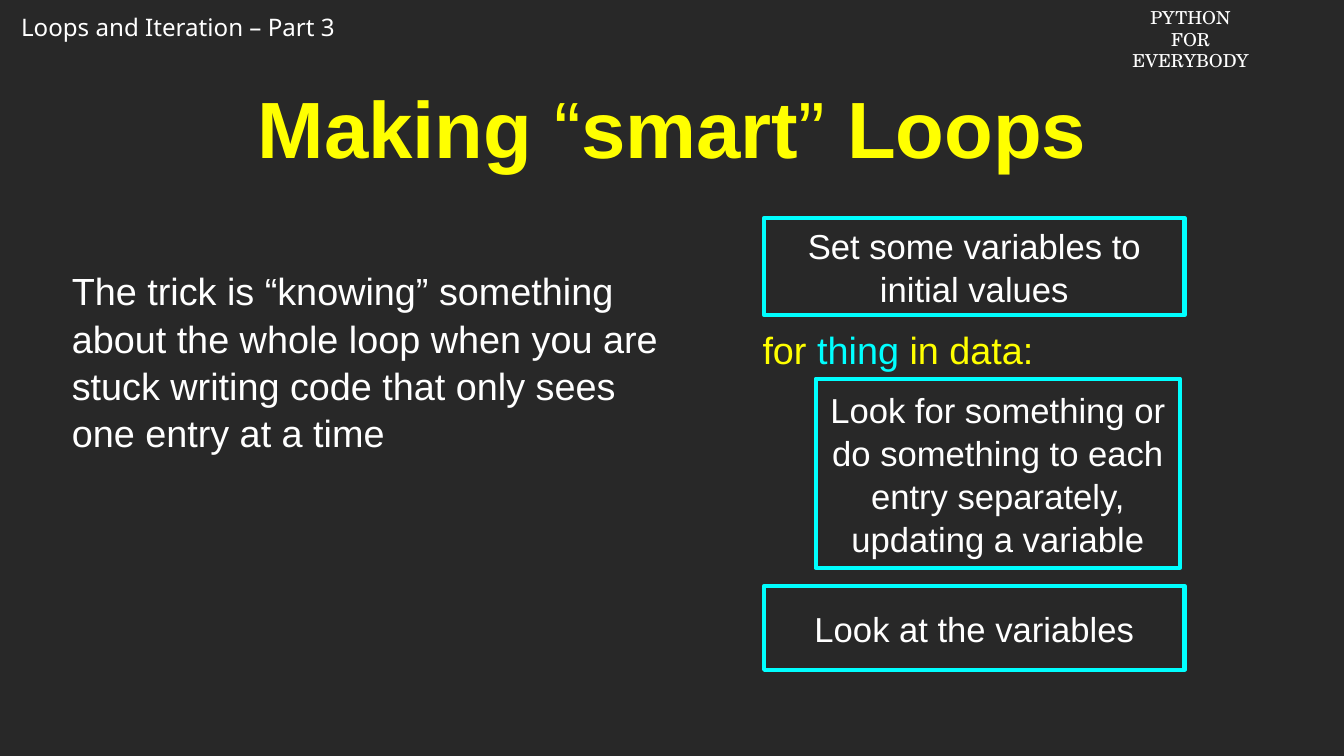
from pptx import Presentation, util as u
from pptx.dml.color import RGBColor
from pptx.enum import shapes, text

WIDTH, HEIGHT = 17.78, 10
WHITE, YELLOW, CYAN, DARK = "FFFFFF", "FFFF00", "00FFFF", "282828"
STEP_LEFT, STEP_WIDTH = 10.11, 5.56
CENTER = text.PP_ALIGN.CENTER
LEFT = text.PP_ALIGN.LEFT
MIDDLE = text.MSO_ANCHOR.MIDDLE


def color(value):
    return RGBColor.from_string(value)


def set_frame(shape, inset, anchor=MIDDLE, wrap=True):
    frame = shape.text_frame
    frame.word_wrap = wrap
    frame.vertical_anchor = anchor
    frame.margin_left = frame.margin_right = u.Inches(inset)
    frame.margin_top = frame.margin_bottom = u.Inches(inset)
    return frame


def write_para(para, spans, size, font="Arial", align=CENTER, spacing=None):
    para.alignment = align
    para.line_spacing = spacing
    para.font.size = u.Pt(size)
    para.font.name = font
    for words, hue, bold in spans:
        span = para.add_run()
        span.text = words
        span.font.color.rgb = color(hue)
        span.font.bold = bold


def add_text(page, area, spans, size, inset=0.04, align=CENTER, spacing=None):
    box = page.shapes.add_textbox(*map(u.Inches, area))
    frame = set_frame(box, inset)
    write_para(frame.paragraphs[0], spans, size, align=align, spacing=spacing)


def add_header(page, area, lines, size, font, align):
    box = page.shapes.add_textbox(*map(u.Inches, area))
    frame = set_frame(box, 0.05, text.MSO_ANCHOR.TOP, wrap=False)
    frame.margin_left = frame.margin_right = u.Inches(0.1)
    for number, line in enumerate(lines):
        para = frame.add_paragraph() if number else frame.paragraphs[0]
        write_para(para, [(line, WHITE, False)], size, font, align)


def add_step(page, area, words):
    box = page.shapes.add_shape(shapes.MSO_SHAPE.RECTANGLE, *map(u.Inches, area))
    box.shadow.inherit = False
    box.fill.background()
    box.line.color.rgb = color(CYAN)
    box.line.width = u.Pt(4)
    frame = set_frame(box, 0)
    write_para(frame.paragraphs[0], [(words, WHITE, False)], 33, spacing=1.04)


def main():
    deck = Presentation()
    deck.slide_width, deck.slide_height = u.Inches(WIDTH), u.Inches(HEIGHT)
    page = deck.slides.add_slide(deck.slide_layouts[6])
    page.background.fill.solid()
    page.background.fill.fore_color.rgb = color(DARK)

    add_header(page, (0.18, 0.12, 4.52, 0.49),
               ["Loops and Iteration – Part 3"], 23, "Noto Sans", LEFT)
    add_header(page, (14.88, 0.04, 1.74, 0.67),
               ["PYTHON", "FOR", "EVERYBODY"], 17, "TeX Gyre Schola", CENTER)

    title = [("Making ", True), ("“", False), ("smart", True),
             ("”", False), (" Loops", True)]
    add_text(page, (0.69, 0.99, WIDTH - 2 * 0.69, 1.36),
             [(words, YELLOW, bold) for words, bold in title], 76)
    add_text(page, (0.91, 1.65, 8.06, 6.24),
             [("The trick is “knowing” something about the whole loop when you "
               "are stuck writing code that only sees one entry at a time",
               WHITE, False)], 36, align=LEFT, spacing=1.04)

    add_step(page, (STEP_LEFT, 2.88, STEP_WIDTH, 1.29),
             "Set some variables to initial values")
    add_text(page, (10.02, 4.28, 3.72, 0.68),
             [("for ", YELLOW, False), ("thing", CYAN, False),
              (" in data:", YELLOW, False)], 36, inset=0)
    add_step(page, (10.79, 5.01, 4.82, 2.5),
             "Look for something or do something to each entry separately, "
             "updating a variable")
    add_step(page, (STEP_LEFT, 7.75, STEP_WIDTH, 1.11), "Look at the variables")
    deck.save("out.pptx")


if __name__ == "__main__":
    main()
